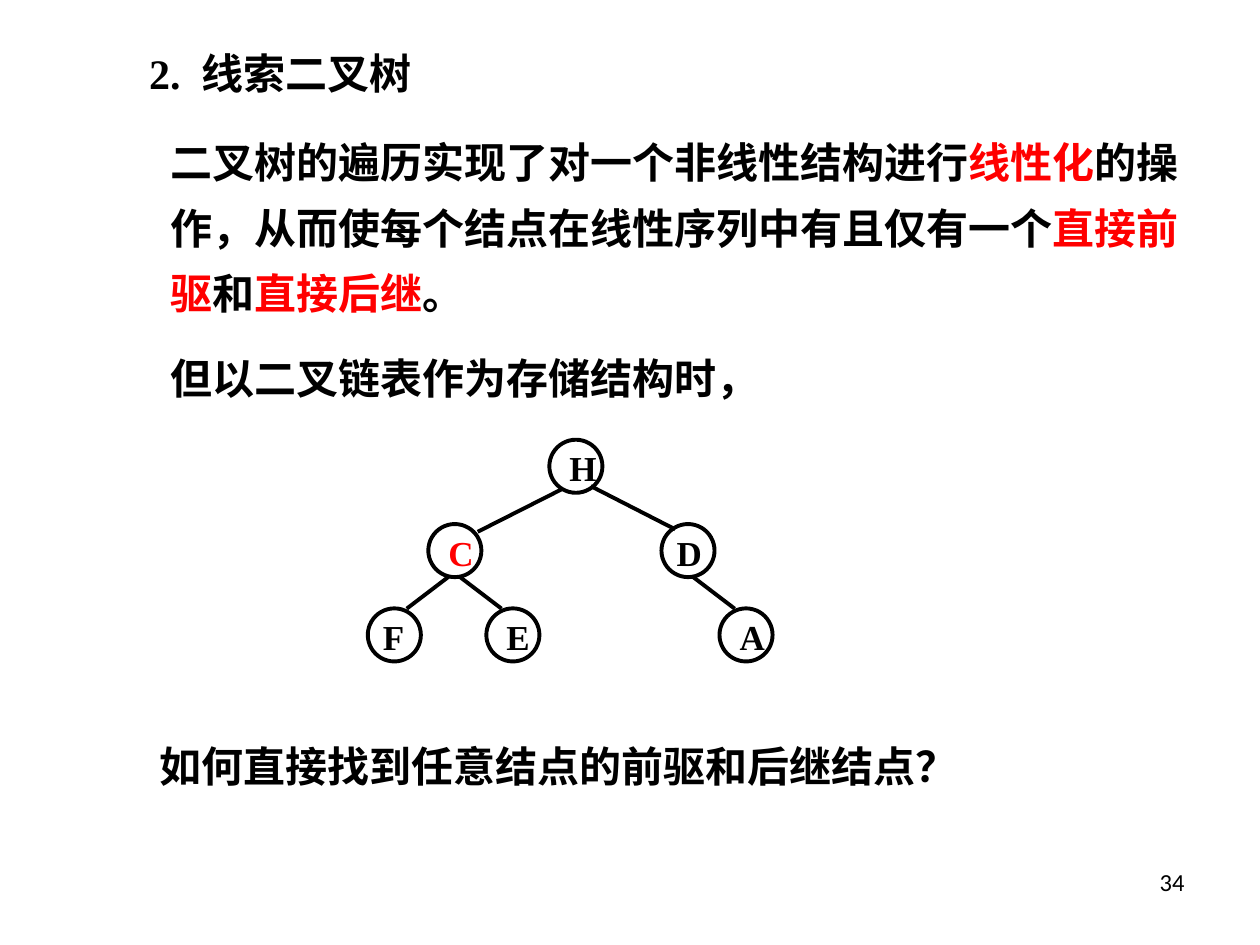
"""Build the slide on threaded binary trees."""
from pptx import Presentation
from pptx.dml.color import RGBColor as Rgb
from pptx.enum.shapes import MSO_CONNECTOR as Link, MSO_SHAPE as Form
from pptx.enum.text import MSO_ANCHOR as Anchor, MSO_AUTO_SIZE as Fit, PP_ALIGN as Align
from pptx.oxml.ns import qn
from pptx.util import Cm, Pt

HUES = {"ink": "000000", "mark": "FF0000"}


class Deck:
    """Hold the style and the current slide."""

    def __init__(self):
        self.show = Presentation()
        self.show.slide_width, self.show.slide_height = Cm(25.4), Cm(19.05)
        self.slide = self.show.slides.add_slide(self.show.slide_layouts[5])
        self.font, self.size, self.line, self.side = "Times New Roman", 24, 2.25, 1.07

    def hue(self, name):
        return Rgb.from_string(HUES[name])

    def fill(self, box, parts, size, font=None, bold=True, align=Align.LEFT, space=1):
        frame = box.text_frame
        frame.word_wrap, frame.auto_size = True, Fit.NONE
        frame.vertical_anchor = Anchor.TOP
        para = frame.paragraphs[0]
        para.alignment, para.line_spacing = align, space
        for text, name in parts:
            run = para.add_run()
            run.text = text
            run.font.size, run.font.bold = Pt(size), bold
            run.font.name = font or self.font
            run.font.color.rgb = self.hue(name)
        return para

    def title(self, parts, x, y, w, h):
        box = self.slide.shapes.title
        box.left, box.top, box.width, box.height = Cm(x), Cm(y), Cm(w), Cm(h)
        return self.fill(box, parts, self.size)

    def text(self, parts, x, y, w, h, size=None, **style):
        box = self.slide.shapes.add_textbox(Cm(x), Cm(y), Cm(w), Cm(h))
        return self.fill(box, parts, size or self.size, **style)

    def node(self, name, x, level, shift, tone="ink"):
        y, half = 9.4 + 1.7 * level, self.side / 2
        ring = self.slide.shapes.add_shape(
            Form.OVAL, Cm(x - half), Cm(y - half), Cm(self.side), Cm(self.side))
        ring.shadow.inherit = False
        ring.fill.background()
        ring.line.color.rgb, ring.line.width = self.hue("ink"), Pt(self.line)
        self.text([(name, tone)], x - 0.48 + shift, y - 0.52, 1.47, 1.12, 20)

    def edge(self, *ends):
        line = self.slide.shapes.add_connector(Link.STRAIGHT, *map(Cm, ends))
        line.line.color.rgb, line.line.width = self.hue("ink"), Pt(self.line)
        props = line._element.spPr
        props.append(props.makeelement(qn("a:effectLst"), {}))


def main():
    deck = Deck()
    head = deck.title([("2.", "ink"), (" ", "ink"), ("线索二叉树", "ink")],
                      2.75, 0.84, 13.97, 1.27)
    head.runs[1].font._element.set("spc", "600")
    deck.text([("二叉树的遍历实现了对一个非线性结构进行", "ink"), ("线性化", "mark"),
               ("的操作，从而使每个结点在线性序列中有且仅有一个", "ink"),
               ("直接前驱", "mark"), ("和", "ink"), ("直接后继", "mark"), ("。", "ink")],
              3.18, 2.33, 21.38, 4.22, space=1.3)
    deck.text([("但以二叉链表作为存储结构时，", "ink")], 3.18, 6.99, 14.82, 1.27)

    nodes = [("H", 11.61, 0, 0.1), ("C", 9.17, 1, 0.1, "mark"), ("D", 13.87, 1, 0),
             ("F", 7.95, 2, 0), ("E", 10.34, 2, 0.1), ("A", 15.04, 2, 0.1)]
    edges = [(11.33, 9.86, 9.63, 10.72), (11.91, 9.8, 13.61, 10.67),
             (9.04, 11.63, 8.2, 12.27), (9.27, 11.63, 10.11, 12.27),
             (13.97, 11.63, 14.81, 12.27)]
    for node in nodes:
        deck.node(*node)
    for edge in edges:
        deck.edge(*edge)

    deck.text([("如何直接找到任意结点的前驱和后继结点？", "ink")], 2.97, 14.81, 19.25, 1.27)
    deck.text([("34", "ink")], 18.21, 17.35, 5.92, 1.32, 14,
              font="Calibri", bold=False, align=Align.RIGHT)
    deck.show.save("out.pptx")


if __name__ == "__main__":
    main()
